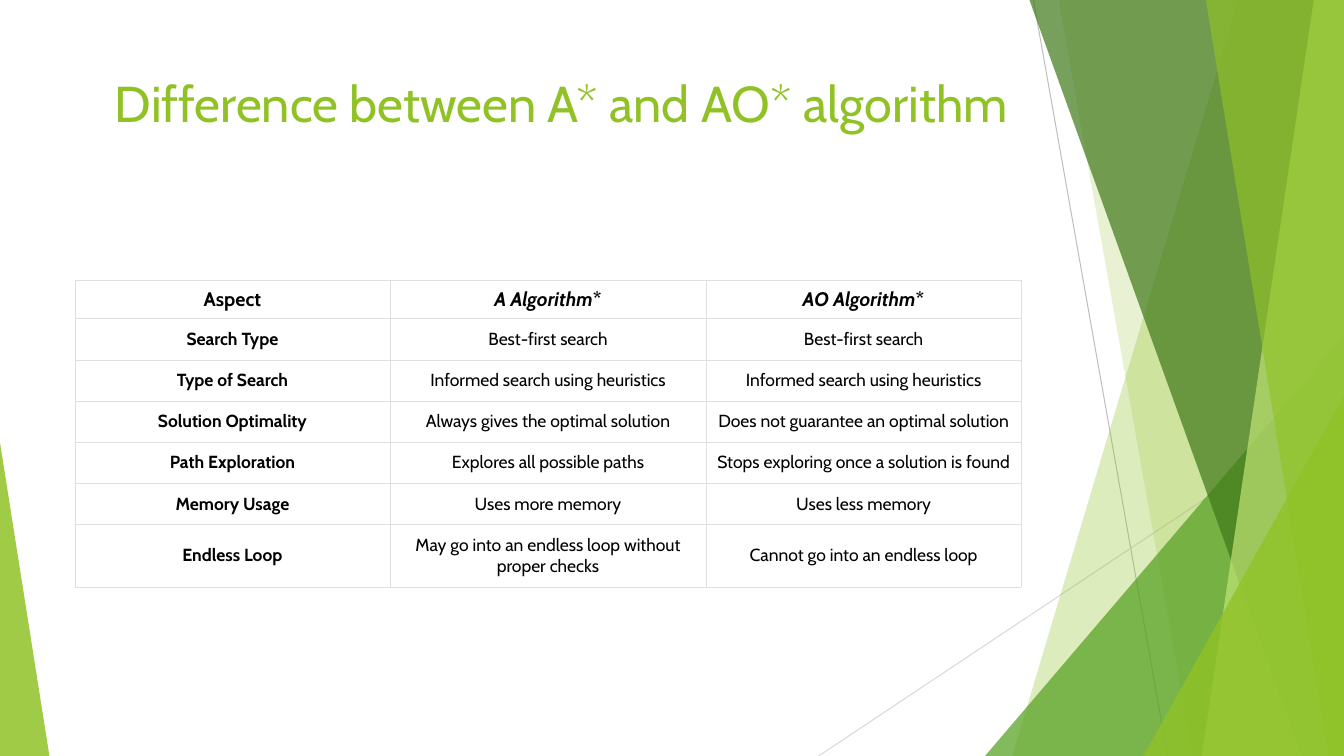
from lxml import etree
from pptx import Presentation
from pptx.dml.color import RGBColor
from pptx.enum.shapes import MSO_CONNECTOR, MSO_SHAPE
from pptx.enum.text import MSO_ANCHOR, PP_ALIGN
from pptx.oxml.ns import qn
from pptx.util import Inches, Pt

FONT = "Cabin"
W, H = 13.33, 7.5
COLORS = {
    "lime": "90C226", "green": "54A021", "forest": "3F7819", "pale": "C0E474",
    "gray": "BFBFBF", "light_gray": "D9D9D9", "border": "DFDFDF",
    "black": "000000", "white": "FFFFFF",
}


def rgb(name):
    return RGBColor.from_string(COLORS[name])


def paint(sp, color, opacity):
    sp.shadow.inherit = False
    sp.line.fill.background()
    sp.fill.solid()
    sp.fill.fore_color.rgb = rgb(color)
    clr = sp.fill._xPr.find(qn("a:solidFill"))[0]
    etree.SubElement(clr, qn("a:alpha"), val=str(opacity * 1000))


prs = Presentation()
prs.slide_width, prs.slide_height = Inches(W), Inches(H)
s = prs.slides.add_slide(prs.slide_layouts[6])

# Thin crossing lines
for x1, y1, x2, y2, color in [
    (10.25, 0, 11.58, H, "gray"),
    (W, 4.03, 8.12, H, "light_gray"),
]:
    line = s.shapes.add_connector(
        MSO_CONNECTOR.STRAIGHT, Inches(x1), Inches(y1), Inches(x2), Inches(y2))
    line.line.color.rgb = rgb(color)
    line.line.width = Pt(0.75)
    etree.SubElement(line._element.spPr, qn("a:effectLst"))

# Facets: bands run from top x to bottom x and fill to the right edge;
# triangles stand on the bottom edge with the apex at one side
facets = [
    ("band", (12.28, 10.04), "lime", 30),
    ("band", (10.5, 11.83), "lime", 20),
    ("triangle", (9.77, 3.33, 3.56, 1), "green", 72),
    ("band", (10.21, 12.91), "forest", 70),
    ("band", (13.03, 11.92), "pale", 70),
    ("band", (11.96, 13.18), "lime", 65),
    ("triangle", (11.34, 3.93, 1.99, 1), "lime", 80),
    ("triangle", (0, 4.39, 0.49, 0), "lime", 85),
]
for kind, geometry, color, opacity in facets:
    if kind == "band":
        top_x, bottom_x = geometry
        fb = s.shapes.build_freeform(Inches(top_x), 0)
        fb.add_line_segments([(Inches(x), Inches(y)) for x, y in
                              [(W, 0), (W, H), (bottom_x, H)]], close=True)
        sp = fb.convert_to_shape()
    else:
        left, top, width, apex = geometry
        sp = s.shapes.add_shape(
            MSO_SHAPE.ISOSCELES_TRIANGLE,
            Inches(left), Inches(top), Inches(width), Inches(H - top))
        sp.adjustments[0] = apex
    paint(sp, color, opacity)

# Title
title = s.shapes.add_textbox(Inches(0.74), Inches(0.67), Inches(10.27), Inches(1.44))
tf = title.text_frame
tf.word_wrap = True
tf.margin_left = Inches(0.4)
p = tf.paragraphs[0]
p.text = "Difference between A* and AO* algorithm"
p.font.name, p.font.size = FONT, Pt(36)
p.font.color.rgb = rgb("lime")

# Comparison table
rows = [
    ("Aspect", "A Algorithm*", "AO Algorithm*"),
    ("Search Type", "Best-first search", "Best-first search"),
    ("Type of Search", "Informed search using heuristics", "Informed search using heuristics"),
    ("Solution Optimality", "Always gives the optimal solution",
     "Does not guarantee an optimal solution"),
    ("Path Exploration", "Explores all possible paths",
     "Stops exploring once a solution is found"),
    ("Memory Usage", "Uses more memory", "Uses less memory"),
    ("Endless Loop", "May go into an endless loop without proper checks",
     "Cannot go into an endless loop"),
]
heights = [0.38] + [0.4] * 5 + [0.61]
table = s.shapes.add_table(
    len(rows), 3, Inches(0.74), Inches(2.78), Inches(9.4), Inches(sum(heights))).table
for col in table.columns:
    col.width = Inches(3.13)

for i, (row, height) in enumerate(zip(rows, heights)):
    table.rows[i].height = Inches(height)
    for j, text in enumerate(row):
        cell = table.cell(i, j)
        cell.vertical_anchor = MSO_ANCHOR.MIDDLE
        cell.margin_left = cell.margin_right = Inches(0.07)
        cell.margin_top = cell.margin_bottom = Inches(0.07 if i == 0 else 0.1)
        cell.fill.solid()
        cell.fill.fore_color.rgb = rgb("white")

        p = cell.text_frame.paragraphs[0]
        p.alignment = PP_ALIGN.CENTER
        p.font.name = FONT
        p.font.size = Pt(14 if i == 0 else 12.5)
        p.font.bold = i == 0 or j == 0
        p.font.color.rgb = rgb("black")
        if text.endswith("*"):
            r = p.add_run()
            r.text = text[:-1]
            r.font.italic = True
            p.add_run().text = "*"
        else:
            p.add_run().text = text

        # Borders go ahead of the fill
        tcPr = cell._tc.get_or_add_tcPr()
        for k, side in enumerate(("lnL", "lnR", "lnT", "lnB")):
            ln = etree.Element(qn("a:" + side), w=str(Pt(0.15)))
            fill = etree.SubElement(ln, qn("a:solidFill"))
            etree.SubElement(fill, qn("a:srgbClr"), val=COLORS["border"])
            tcPr.insert(k, ln)

prs.save("out.pptx")
